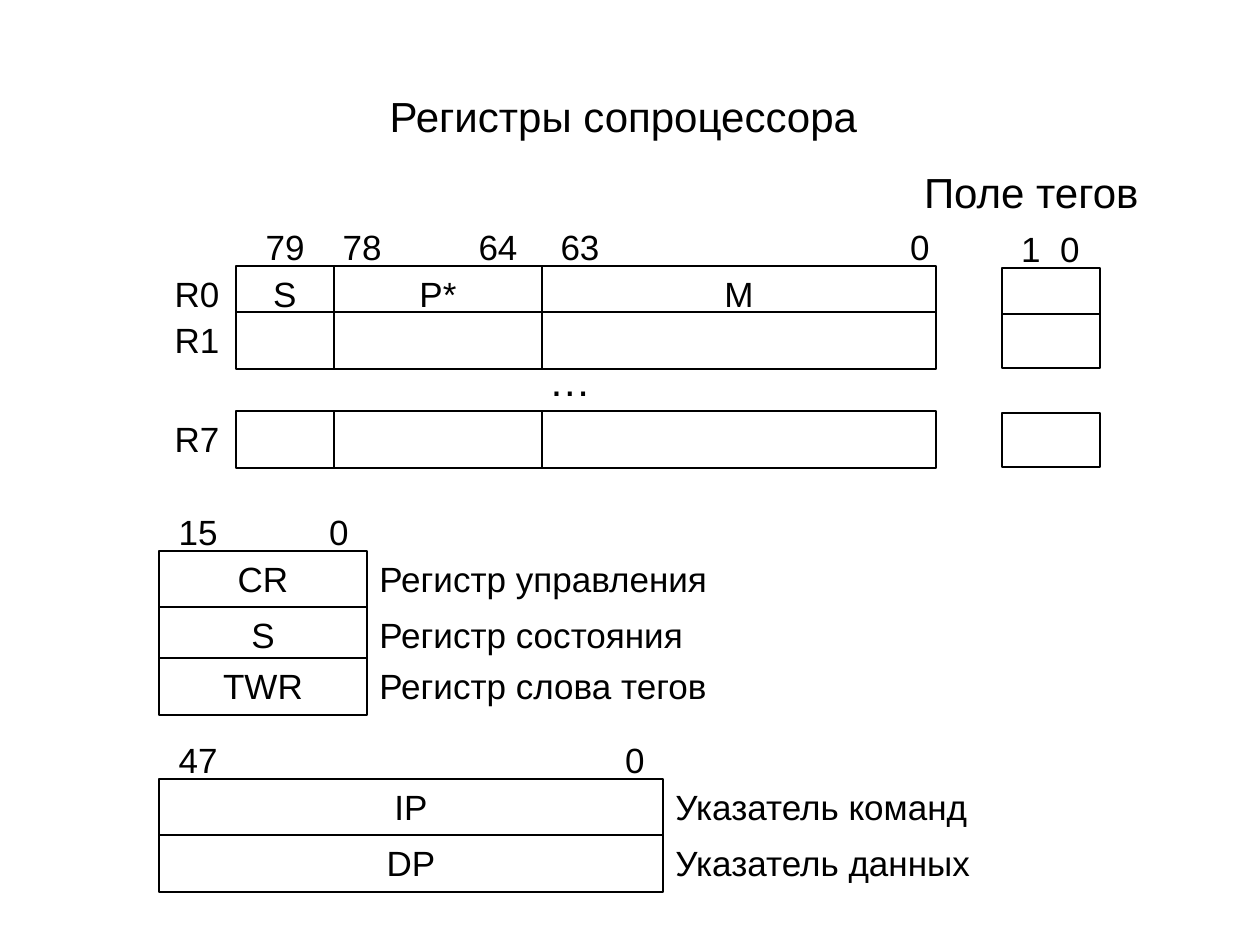
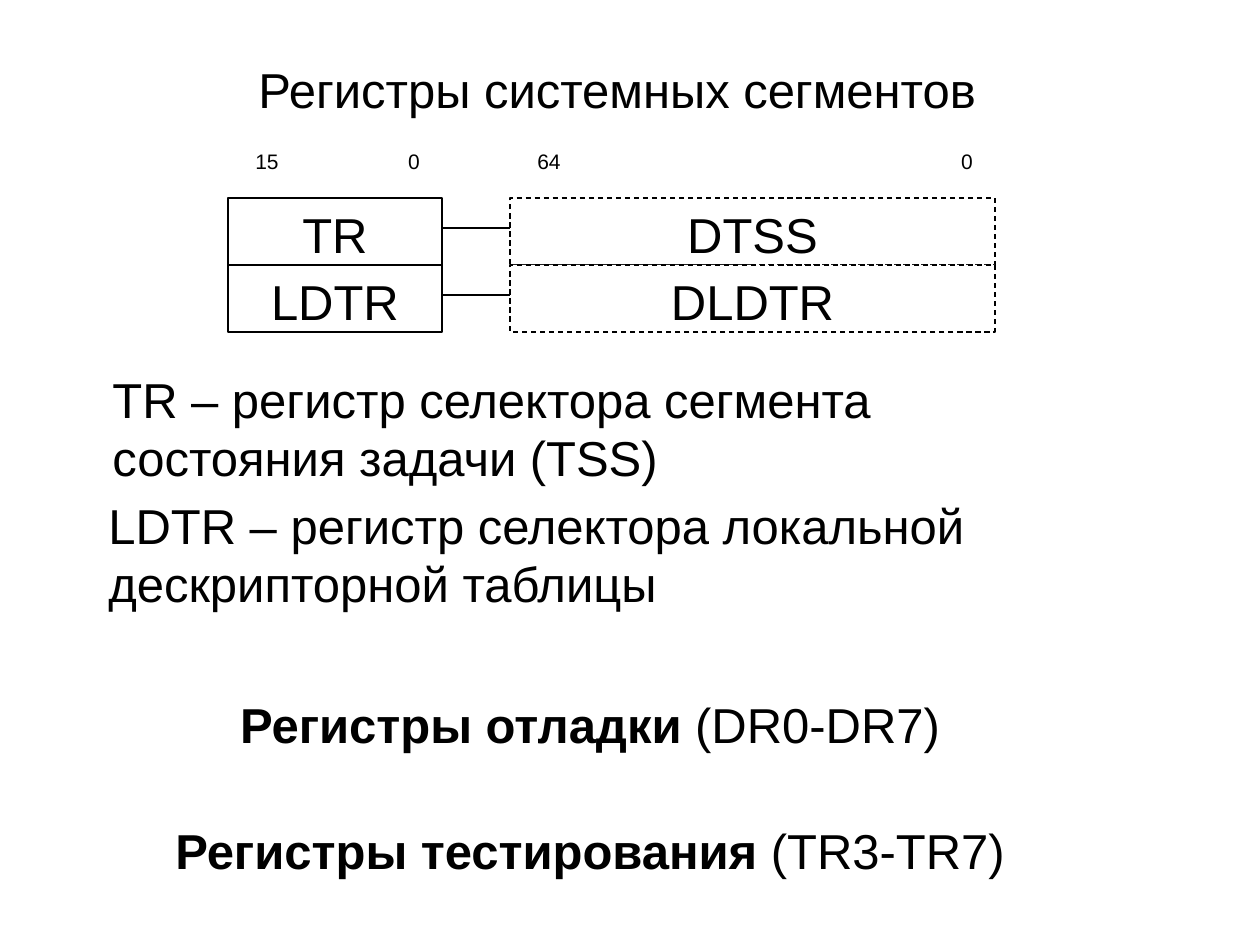
import pptx
import pptx.util
import pptx.dml.color
import pptx.enum.dml
import pptx.enum.shapes
import pptx.enum.text
from lxml import etree
from pptx.oxml.ns import qn

PX = 914400 // 126
BLACK = pptx.dml.color.RGBColor(0, 0, 0)
WHITE = pptx.dml.color.RGBColor(255, 255, 255)
FONT = "Arial"
LEFT = pptx.enum.text.PP_ALIGN.LEFT
MID = pptx.enum.text.PP_ALIGN.CENTER
DASH = pptx.enum.dml.MSO_LINE.DASH

# Coprocessor registers
FPU_TITLE = ("Регистры сопроцессора", (180, 84, 887, 63))
TAG_TITLE = ("Поле тегов", (826, 160, 329, 57), 94)
DOTS = ("…", (488, 348, 164, 66))
FPU_COLS = [(236, 98), (334, 208), (542, 394)]
FPU_ROWS = [
    ("R0", 266, ["S", "P*", "M"]),
    ("R1", 312, ["", "", ""]),
    ("R7", 411, ["", "", ""]),
]
FPU_BITS = [("79", 285), ("78", 362), ("64", 498), ("63", 580), ("0", 920)]
TAG_COL = (1002, 98)
TAG_BITS = [("1", 1031), ("0", 1070)]
TAG_DROP = 2
ROW_H, TAG_H = 57, 54
BIT_UP = 47

# Banks: left, width, note width, top bit, registers with their tops
BANKS = [
    (159, 208, 640, "15", [
        ("CR", 551, "Регистр управления"),
        ("S", 607, "Регистр состояния"),
        ("TWR", 658, "Регистр слова тегов"),
    ]),
    (159, 504, 481, "47", [
        ("IP", 779, "Указатель команд"),
        ("DP", 835, "Указатель данных"),
    ]),
]

# System segment registers
SEG_TITLE = ("Регистры системных сегментов", (122, 53, 990, 78))
SEG_COLS = [(228, 214, None), (510, 485, DASH)]
SEG_ROWS = [("TR", "DTSS"), ("LDTR", "DLDTR")]
SEG_TOP, SEG_H, LINK_DROP = 198, 67, 30
SEG_BITS = [("15", 267), ("0", 414), ("64", 549), ("0", 967)]
TERMS = [
    ("TR – регистр селектора сегмента\vсостояния задачи (TSS)",
     (100, 363, 990, 116)),
    ("LDTR – регистр селектора локальной дескрипторной таблицы",
     (96, 489, 990, 116)),
]
GROUPS = [
    ("Регистры отладки", " (DR0-DR7)", 688),
    ("Регистры тестирования ", "(TR3-TR7)", 814),
]


def scale(area):
    return [n * PX for n in area]


def style(para, size, align):
    para.alignment = align
    for run in para.runs:
        run.font.name = FONT
        run.font.size = pptx.util.Pt(size)
        run.font.color.rgb = BLACK


def label(slide, text, area, size, align=MID):
    box = slide.shapes.add_textbox(*scale(area))
    box.text_frame.word_wrap = True
    para = box.text_frame.paragraphs[0]
    para.text = text
    style(para, size, align)
    return box


def cell(slide, text, area, size, dash=None):
    kind = pptx.enum.shapes.MSO_SHAPE.RECTANGLE
    box = slide.shapes.add_shape(kind, *scale(area))
    box.shadow.inherit = False
    box.fill.solid()
    box.fill.fore_color.rgb = WHITE
    box.line.color.rgb = BLACK
    box.line.width = pptx.util.Pt(0.75)
    if dash:
        box.line.dash_style = dash
    if text:
        frame = box.text_frame
        frame.vertical_anchor = pptx.enum.text.MSO_ANCHOR.TOP
        frame.text = text
        style(frame.paragraphs[0], size, MID)


def mark(slide, bits, top, size, high):
    """Put bit numbers, each centred on its x."""
    for num, mid in bits:
        wide = 98 if len(num) == 1 else 120
        label(slide, num, (mid - wide // 2, top, wide, high), size)


def link(slide, x1, x2, y):
    kind = pptx.enum.shapes.MSO_CONNECTOR.STRAIGHT
    line = slide.shapes.add_connector(kind, *scale((x1, y, x2, y)))
    line.line.color.rgb = BLACK
    line.line.width = pptx.util.Pt(0.75)
    etree.SubElement(line._element.spPr, qn("a:effectLst"))


def draw_fpu(slide):
    label(slide, *FPU_TITLE, 24)
    text, area, indent = TAG_TITLE
    label(slide, text, area, 24).text_frame.margin_left = indent * PX

    for name, top, texts in FPU_ROWS:
        for text, (left, wide) in zip(texts, FPU_COLS):
            cell(slide, text, (left, top, wide, ROW_H), 20)
        left, wide = TAG_COL
        cell(slide, "", (left, top + TAG_DROP, wide, TAG_H), 20)
        label(slide, name, (137, top, 120, 53), 20)
    bit_top = FPU_ROWS[0][1] - BIT_UP
    mark(slide, FPU_BITS, bit_top, 20, 53)
    mark(slide, TAG_BITS, bit_top + TAG_DROP, 20, 53)
    label(slide, *DOTS, 24)

    for left, wide, note_w, high_bit, regs in BANKS:
        right = left + wide
        for name, top, note in regs:
            cell(slide, name, (left, top, wide, ROW_H), 20)
            label(slide, note, (right, top, note_w, ROW_H), 20, LEFT)
        bits = [(high_bit, left + 39), ("0", right - 28)]
        mark(slide, bits, regs[0][1] - BIT_UP, 20, 53)


def draw_seg(slide):
    label(slide, *SEG_TITLE, 28)
    mark(slide, SEG_BITS, 142, 12, 63)
    (left, wide, _), (far, _, _) = SEG_COLS
    for i, texts in enumerate(SEG_ROWS):
        top = SEG_TOP + i * SEG_H
        for text, (x, w, dash) in zip(texts, SEG_COLS):
            cell(slide, text, (x, top, w, SEG_H), 28, dash)
        link(slide, left + wide, far, top + LINK_DROP)

    for text, area in TERMS:
        label(slide, text, area, 28, LEFT)
    for name, span, top in GROUPS:
        box = label(slide, name, (95, top, 990, 78), 28)
        para = box.text_frame.paragraphs[0]
        para.runs[0].font.bold = True
        para.add_run().text = span
        style(para, 28, MID)


def main():
    deck = pptx.Presentation()
    deck.slide_width, deck.slide_height = scale((1260, 945))
    for draw in (draw_fpu, draw_seg):
        draw(deck.slides.add_slide(deck.slide_layouts[6]))
    deck.save("out.pptx")


if __name__ == "__main__":
    main()
